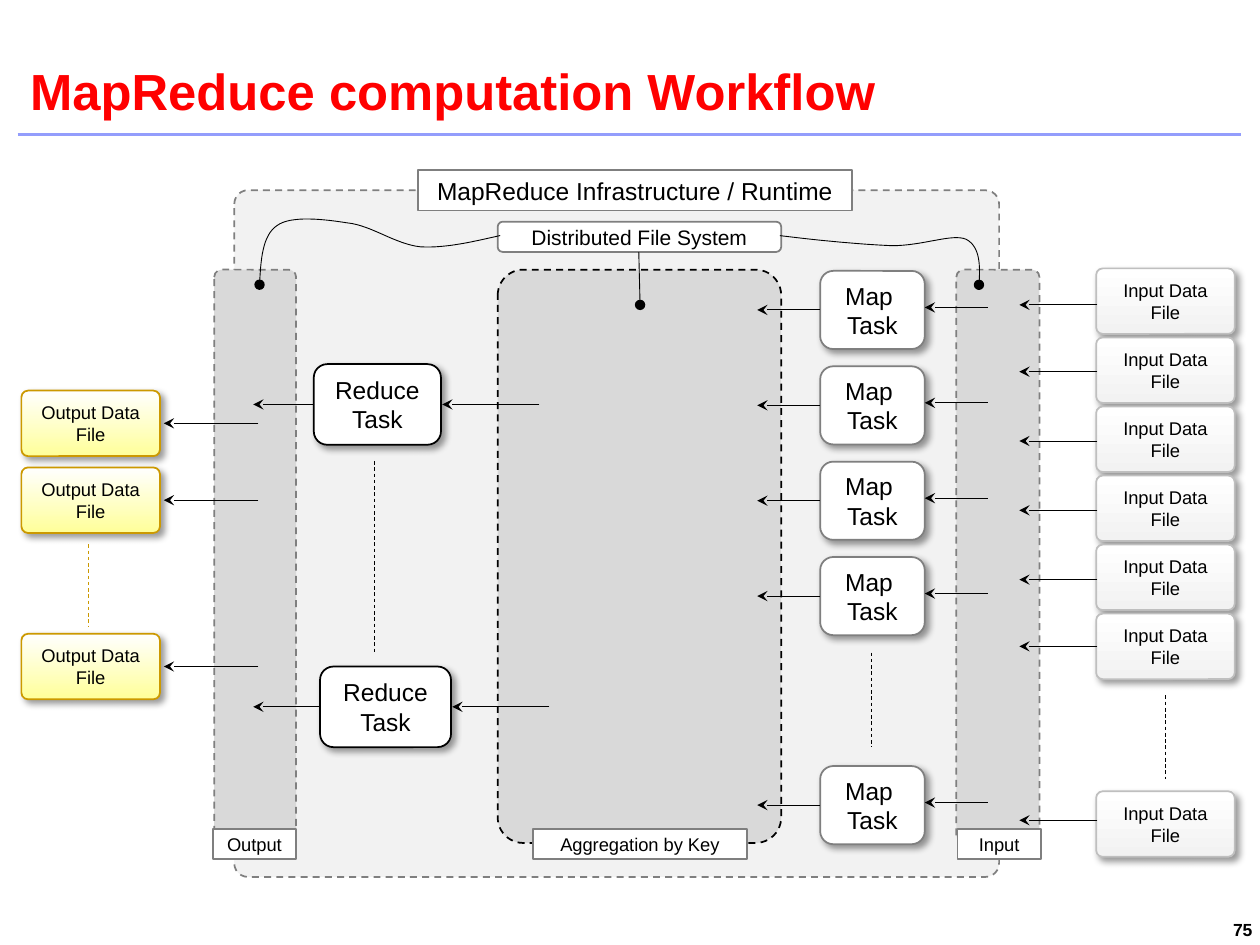
from lxml.etree import SubElement
from pptx import Presentation
from pptx.dml.color import RGBColor
from pptx.enum.dml import MSO_LINE
from pptx.enum.shapes import MSO_CONNECTOR, MSO_SHAPE
from pptx.enum.text import MSO_ANCHOR, PP_ALIGN
from pptx.oxml.ns import qn
from pptx.util import Inches, Pt

RECT, ROUND = MSO_SHAPE.RECTANGLE, MSO_SHAPE.ROUNDED_RECTANGLE
STRAIGHT, DASH = MSO_CONNECTOR.STRAIGHT, MSO_LINE.DASH
LEFT, CENTER, RIGHT = PP_ALIGN.LEFT, PP_ALIGN.CENTER, PP_ALIGN.RIGHT
TOP, MIDDLE, BOTTOM = MSO_ANCHOR.TOP, MSO_ANCHOR.MIDDLE, MSO_ANCHOR.BOTTOM

WHITE = RGBColor(0xFF, 0xFF, 0xFF)
BLACK = RGBColor(0x00, 0x00, 0x00)
RED = RGBColor(0xFF, 0x00, 0x00)
PERIWINKLE = RGBColor(0x93, 0x9D, 0xFC)
PALE_GRAY = RGBColor(0xF2, 0xF2, 0xF2)
LIGHT_GRAY = RGBColor(0xD9, 0xD9, 0xD9)
SILVER = RGBColor(0xBF, 0xBF, 0xBF)
GRAY = RGBColor(0x7F, 0x7F, 0x7F)
YELLOW = RGBColor(0xFF, 0xFF, 0x99)
GOLD = RGBColor(0xCC, 0x99, 0x00)

COLUMNS, ROWS = 100, 75
CURVE_STEPS = 16


class Diagram:
    font = "Arial"
    cell = Inches(0.1)

    def __init__(self):
        self.deck = Presentation()
        self.deck.slide_width = self.grid(COLUMNS)
        self.deck.slide_height = self.grid(ROWS)
        self.slide = self.deck.slides.add_slide(self.deck.slide_layouts[6])
        self.shapes = self.slide.shapes

    def grid(self, cells):
        return round(cells * self.cell)

    def place(self, *cells):
        return [self.grid(value) for value in cells]

    def fill_text(self, shape, lines, size, color=BLACK, bold=False,
                  align=CENTER, anchor=MIDDLE, insets=(1, 0.5, 1, 0.5)):
        frame = shape.text_frame
        frame.word_wrap = True
        frame.vertical_anchor = anchor
        (frame.margin_left, frame.margin_top,
         frame.margin_right, frame.margin_bottom) = self.place(*insets)
        for index, line in enumerate(lines):
            para = frame.add_paragraph() if index else frame.paragraphs[0]
            para.alignment = align
            span = para.add_run()
            span.text = line
            span.font.name = self.font
            span.font.size = Pt(size)
            span.font.bold = bold
            span.font.color.rgb = color

    def text(self, at, line, size, **style):
        self.fill_text(self.shapes.add_textbox(*self.place(*at)), [line], size, **style)

    def box(self, at, fill, outline, kind=ROUND, corner=None, dashed=False,
            fade=None, shadow=False, lines=(), size=10.5, **style):
        shape = self.shapes.add_shape(kind, *self.place(*at))
        if corner is not None:
            shape.adjustments[0] = corner
        if fade is None:
            shape.fill.solid()
            shape.fill.fore_color.rgb = fill
        else:
            shape.fill.gradient()
            shape.fill.gradient_angle = 270
            for stop, color in zip(shape.fill.gradient_stops, (fill, fade)):
                stop.color.rgb = color
        self.stroke(shape, outline, 1, dashed)
        shape.shadow.inherit = False
        if shadow:
            self.cast_shadow(shape)
        self.fill_text(shape, lines, size, **style)

    def cast_shadow(self, shape):
        effects = shape.element.spPr.find(qn("a:effectLst"))
        outer = SubElement(effects, qn("a:outerShdw"), blurRad=str(Pt(4)),
                           dist=str(Pt(3)), dir="2700000", algn="tl", rotWithShape="0")
        color = SubElement(outer, qn("a:srgbClr"), val=str(BLACK))
        SubElement(color, qn("a:alpha"), val="40000")

    def stroke(self, shape, color, width, dashed=False, tail=None):
        shape.line.color.rgb = color
        shape.line.width = Pt(width)
        if dashed:
            shape.line.dash_style = DASH
        if tail:
            outline = shape.element.spPr.find(qn("a:ln"))
            SubElement(outline, qn("a:tailEnd"), type=tail)

    def line(self, start, end, color=BLACK, width=0.5, dashed=False, tail=None):
        connector = self.shapes.add_connector(STRAIGHT, *self.place(*start, *end))
        self.stroke(connector, color, width, dashed, tail)
        SubElement(connector.element.spPr, qn("a:effectLst"))

    def arrow(self, start, end, row):
        self.line((start, row), (end, row), tail="stealth")

    def ellipsis(self, column, top, bottom, color=BLACK):
        self.line((column, top), (column, bottom), color, dashed=True)

    def curve(self, start, *segments):
        points, here = [], start
        for first, second, end in segments:
            for step in range(1, CURVE_STEPS + 1):
                t = step / CURVE_STEPS
                u = 1 - t
                points.append(self.place(*(
                    u**3 * a + 3 * u * u * t * b + 3 * u * t * t * c + t**3 * d
                    for a, b, c, d in zip(here, first, second, end))))
            here = end
        builder = self.shapes.build_freeform(*self.place(*start))
        builder.add_line_segments(points, close=False)
        shape = builder.convert_to_shape()
        shape.fill.background()
        shape.shadow.inherit = False
        self.stroke(shape, BLACK, 0.5, tail="oval")

    def label(self, at, line, size=10.5, **style):
        self.box(at, WHITE, GRAY, kind=RECT, lines=[line], size=size, **style)

    def task(self, at, lines, outline):
        self.box(at, WHITE, outline, shadow=True, lines=lines, size=14)

    def data_file(self, left, top, line, fade, outline):
        self.box((left, top, 11, 5.2), WHITE, outline, corner=0.1,
                 fade=fade, shadow=True, lines=[line])


def main():
    page = Diagram()
    page.line((1.4, 10.7), (98.5, 10.7), PERIWINKLE, 1.75)
    page.text((1.8, 0, 96.7, 9.6), "MapReduce computation Workflow", 29, color=RED,
              bold=True, align=LEFT, anchor=BOTTOM, insets=(0.6, 0.2, 0, 0))
    page.text((91, 72.9, 9, 1.8), "75", 10, bold=True, align=RIGHT,
              anchor=TOP, insets=(0, 0, 0.6, 0.6))

    page.box((18.6, 15.1, 60.7, 54.5), PALE_GRAY, GRAY, corner=0.02, dashed=True)
    page.label((33.2, 13.5, 34.4, 3.2), "MapReduce Infrastructure / Runtime", 14)
    for left, width, outline in ((39.5, 22.5, BLACK), (17, 6.5, GRAY), (75.9, 6.6, GRAY)):
        page.box((left, 21.4, width, 45.5), LIGHT_GRAY, outline, corner=0.09, dashed=True)
    page.label((42.3, 65.8, 17, 2.4), "Aggregation by Key")
    page.label((76, 65.8, 6.6, 2.4), "Input")
    page.label((16.9, 65.8, 6.6, 2.4), "Output", insets=(0.5, 0.5, 0.5, 0.5))

    for top in [21.5 + 7.57 * index for index in range(4)] + [60.8]:
        page.task((65.1, top, 8.3, 6.2), ["Map ", "Task"], GRAY)
        page.arrow(65.1, 60.1, top + 3.1)
        page.arrow(78.4, 73.4, top + 2.9)
    page.ellipsis(69.2, 51.8, 59.3)

    for left, top, width in ((24.9, 28.9, 10.1), (25.4, 52.9, 10.4)):
        page.task((left, top, width, 6.4), ["Reduce", "Task"], BLACK)
        page.arrow(left + width + 7.8, left + width + 0.1, top + 3.2)
        page.arrow(left, 20.1, top + 3.2)
    page.ellipsis(29.7, 36.6, 51.8)

    input_tops = [21.3 + 5.48 * index for index in range(6)] + [62.8]
    input_rows = (24.2, 29.5, 35, 40.5, 46, 51.3, 65.1)
    for top, row in zip(input_tops, input_rows):
        page.data_file(87, top, "Input Data File", PALE_GRAY, SILVER)
        page.arrow(87.1, 80.9, row)
    page.ellipsis(92.5, 55.2, 61.8)

    for top in (31, 37.1, 50.3):
        page.data_file(1.7, top, "Output Data File", YELLOW, GOLD)
        page.arrow(20.5, 13, top + 2.6)
    page.ellipsis(7, 43.2, 49.8, GOLD)

    page.box((39.5, 17.6, 22.5, 2.4), WHITE, GRAY,
             lines=["Distributed File System"], size=12)
    page.curve((61.9, 18.7),
               ((65.1, 19.1), (68.4, 19.4), (70.8, 19.5)),
               ((73.3, 19.5), (75.6, 18.5), (76.7, 19)),
               ((77.8, 19.6), (77.8, 21.1), (77.7, 22.6)))
    page.curve((39.7, 18.7),
               ((37.5, 19.2), (35.4, 19.7), (33.4, 19.6)),
               ((31.4, 19.4), (29.5, 17.9), (27.6, 17.7)),
               ((25.7, 17.4), (23.1, 17.1), (22, 17.9)),
               ((20.8, 18.7), (20.7, 20.7), (20.6, 22.6)))
    page.line((50.7, 20), (50.8, 24.2), tail="oval")
    page.deck.save("out.pptx")


if __name__ == "__main__":
    main()
